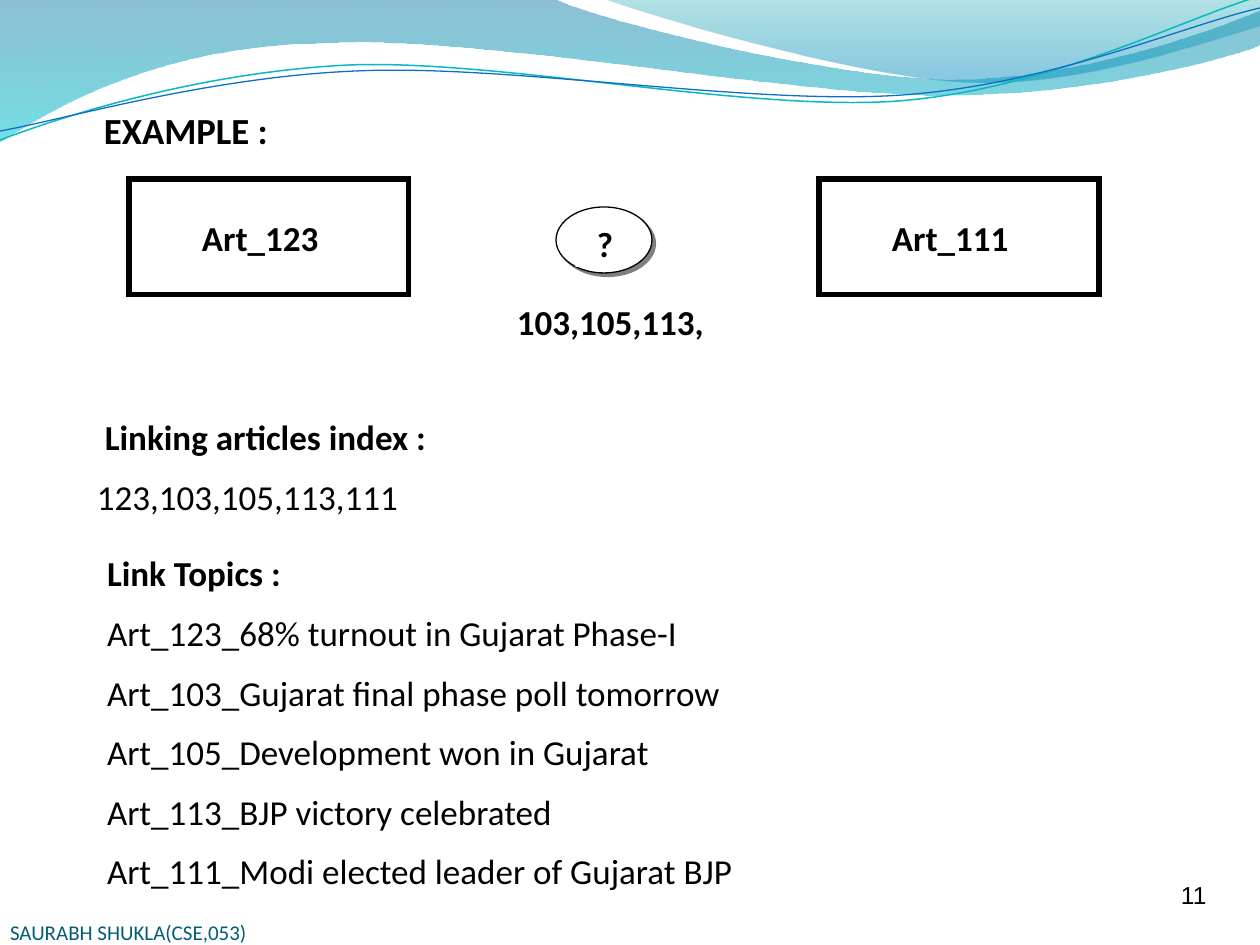
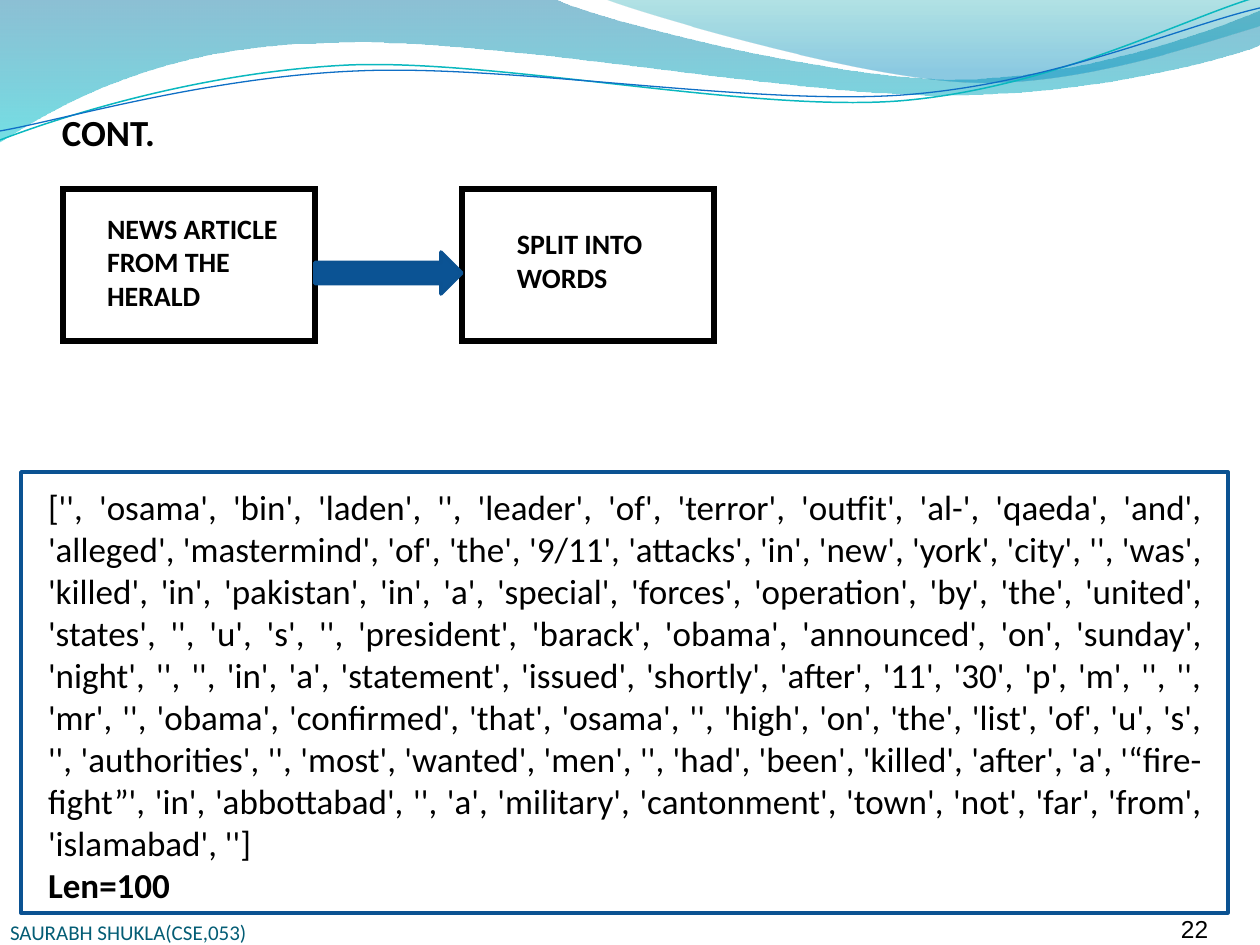
from lxml.etree import SubElement
from pptx import Presentation
from pptx.dml.color import RGBColor
from pptx.enum.shapes import MSO_SHAPE as Preset
from pptx.enum.text import MSO_ANCHOR as Anchor, MSO_AUTO_SIZE as AutoSize, PP_ALIGN as Align
from pptx.oxml.ns import qn
from pptx.util import Emu, Pt

SCALE = 914400 / 126
WIDTH, HEIGHT = 1260, 945
COLOURS = {
    "ink": "000000", "paper": "FFFFFF", "footer": "045D75",
    "arrow": "0B5394", "frame": "0B5292", "shadow": "808080",
    "band_top": "0074A1", "band_foot": "00C6CF",
    "sheen_top": "00A1A9", "sheen_foot": "008BBF",
    "teal_wave": "0AB8BF", "blue_wave": "0F6FC6",
}
BAND = [
    [(0, 0)], [(554, -1)],
    [(600, 21), (837, 79), (955, 79)], [(1075, 79), (1207, 33), (1260, 11)],
    [(1261, 45)],
    [(1239, 55), (1096, 96), (940, 95)], [(783, 95), (481, 35), (324, 43)],
    [(163, 45), (58, 105), (-1, 142)], [(0, 0)],
]
SHEEN = [
    [(604, -1)],
    [(641, 14), (859, 78), (969, 82)], [(1079, 87), (1211, 40), (1260, 26)],
    [(1260, 0)], [(604, -1)],
]
TEAL_WAVE = [
    [(0, 140)],
    [(60, 117), (199, 72), (349, 65)], [(498, 59), (747, 112), (898, 101)],
    [(1050, 89), (1182, 19), (1257, -3)],
]
BLUE_WAVE = [
    [(0, 131)],
    [(59, 121), (207, 77), (357, 71)], [(508, 64), (752, 106), (903, 95)],
    [(1053, 84), (1182, 26), (1260, 8)],
]
SPLIT_WORDS = (
    "['', 'osama', 'bin', 'laden', '', 'leader', 'of', 'terror', 'outfit', 'al-', 'qaeda', 'and', "
    "'alleged', 'mastermind', 'of', 'the', '9/11', 'attacks', 'in', 'new', 'york', 'city', '', 'was', "
    "'killed', 'in', 'pakistan', 'in', 'a', 'special', 'forces', 'operation', 'by', 'the', 'united', "
    "'states', '', 'u', 's', '', 'president', 'barack', 'obama', 'announced', 'on', 'sunday', "
    "'night', '', '', 'in', 'a', 'statement', 'issued', 'shortly', 'after', '11', '30', 'p', 'm', '', '', "
    "'mr', '', 'obama', 'confirmed', 'that', 'osama', '', 'high', 'on', 'the', 'list', 'of', 'u', 's', "
    "'', 'authorities', '', 'most', 'wanted', 'men', '', 'had', 'been', 'killed', 'after', 'a', "
    "'“fire-fight”', 'in', 'abbottabad', '', 'a', 'military', 'cantonment', 'town', 'not', 'far', 'from', "
    "'islamabad', '']"
)


def px(length):
    return Emu(round(length * SCALE))


def rgb(name):
    return RGBColor.from_string(COLOURS[name])


def add_outline(slide, segments, close):
    start, *points = [(px(x), px(y)) for segment in segments for x, y in segment]
    builder = slide.shapes.build_freeform(*start)
    builder.add_line_segments(points, close=close)
    outline = builder.convert_to_shape()
    outline.shadow.inherit = False
    steps = iter(list(outline.element.spPr.iter(qn("a:lnTo"))))
    for segment in segments[1:]:
        first, *others = [next(steps) for _ in segment]
        if others:
            first.tag = qn("a:cubicBezTo")
            curve = first.getparent()
            for step in others:
                first.append(step[0])
                curve.remove(step)
    return outline


def add_band(slide, segments, stops):
    band = add_outline(slide, segments, True)
    band.line.fill.background()
    band.fill.gradient()
    band.fill.gradient_angle = 270
    for stop, (position, colour, _) in zip(band.fill.gradient_stops, stops):
        stop.position = position
        stop.color.rgb = rgb(colour)
    tints = band.element.spPr.iter(qn("a:srgbClr"))
    for tint, (_, _, opacity) in zip(list(tints), stops):
        SubElement(tint, qn("a:alpha"), val=str(opacity * 1000))


def add_wave(slide, segments, colour, weight):
    wave = add_outline(slide, segments, False)
    wave.fill.background()
    wave.line.color.rgb = rgb(colour)
    wave.line.width = Pt(weight)


def add_box(slide, place, line="ink", weight=3.0, fill="paper", preset=Preset.RECTANGLE):
    box = slide.shapes.add_shape(preset, *map(px, place))
    box.shadow.inherit = False
    box.fill.solid()
    box.fill.fore_color.rgb = rgb(fill)
    if line:
        box.line.color.rgb = rgb(line)
        box.line.width = Pt(weight)
        if line == "ink":
            outline = box.element.spPr.find(qn("a:ln"))
            SubElement(outline, qn("a:miter"), lim="800000")
    else:
        box.line.fill.background()
    return box


def cast_shadow(shape):
    effects = shape.element.spPr.find(qn("a:effectLst"))
    shadow = SubElement(effects, qn("a:outerShdw"), dist=str(Pt(2.8)), dir="2700000")
    SubElement(shadow, qn("a:srgbClr"), val=COLOURS["shadow"])


def write(shape, lines, size=20, after=0, align=Align.LEFT, anchor=Anchor.TOP,
          insets=(13, 6), font="Calibri", colour="ink", wrap=True):
    frame = shape.text_frame
    frame.word_wrap = wrap
    frame.vertical_anchor = anchor
    frame.margin_left = frame.margin_right = px(insets[0])
    frame.margin_top = frame.margin_bottom = px(insets[1])
    for index, (text, bold) in enumerate(lines):
        paragraph = frame.add_paragraph() if index else frame.paragraphs[0]
        paragraph.text = text
        paragraph.alignment = align
        paragraph.space_after = Pt(after)
        paragraph.font.size = Pt(size)
        paragraph.font.bold = bold
        paragraph.font.name = font
        paragraph.font.color.rgb = rgb(colour)


def add_text(slide, place, lines, **style):
    text = slide.shapes.add_textbox(*map(px, place))
    write(text, lines, **style)
    return text


def add_label(slide, place, text):
    write(add_box(slide, place, "paper", 0.75), [(text, True)], after=10)


def start_slide(deck):
    slide = deck.slides.add_slide(deck.slide_layouts[6])
    add_band(slide, BAND, [(0, "band_top", 45), (1, "band_foot", 55)])
    add_band(slide, SHEEN, [(0, "sheen_top", 30), (0.8, "sheen_foot", 45)])
    add_wave(slide, TEAL_WAVE, "teal_wave", 0.85)
    add_wave(slide, BLUE_WAVE, "blue_wave", 0.75)
    return slide


def finish_slide(slide, title, title_place, number, number_top):
    add_text(slide, (10, 895, 462, 50), [("SAURABH SHUKLA(CSE,053)", False)], size=12,
             colour="footer", anchor=Anchor.BOTTOM, insets=(0, 0))
    add_text(slide, (1168, number_top, 76, 72), [(number, False)], size=14, font="Arial",
             anchor=Anchor.MIDDLE, insets=(13, 13))
    heading = add_text(slide, title_place, [(title, True)], size=21, insets=(9, 5), wrap=False)
    heading.text_frame.auto_size = AutoSize.SHAPE_TO_FIT_TEXT


def build_example(deck):
    slide = start_slide(deck)
    for left, article in ((129, "Art_123"), (819, "Art_111")):
        add_box(slide, (left, 179, 280, 116))
        add_label(slide, (left + 60, 211, 189, 77), article)
    cast_shadow(add_box(slide, (556, 207, 96, 66), weight=0.75, preset=Preset.OVAL))
    add_label(slide, (576, 217, 52, 49), " ?")
    add_text(slide, (84, 410, 640, 116),
             [(" Linking articles index :", True), ("123,103,105,113,111", False)], after=10)
    add_text(slide, (504, 295, 252, 62), [("103,105,113,", True)], after=10)
    topics = ["Art_123_68% turnout in Gujarat Phase-I",
              "Art_103_Gujarat final phase poll tomorrow",
              "Art_105_Development won in Gujarat",
              "Art_113_BJP victory celebrated",
              "Art_111_Modi elected leader of Gujarat BJP"]
    add_text(slide, (94, 546, 977, 368),
             [("Link Topics :", True)] + [(topic, False) for topic in topics],
             after=10, align=Align.JUSTIFY)
    finish_slide(slide, "EXAMPLE :", (95, 103, 185, 54), "11", 859)


def build_word_split(deck):
    slide = start_slide(deck)
    add_box(slide, (21, 472, 1207, 441), "frame", 2)
    steps = [(63, (94, 205, 231, 121), "NEWS ARTICLE FROM THE HERALD"),
             (462, (504, 221, 231, 141), "SPLIT INTO WORDS")]
    for left, place, step in steps:
        add_box(slide, (left, 189, 252, 152))
        add_text(slide, place, [(step, True)], size=16)
    add_box(slide, (315, 252, 147, 42), "frame", 2, "arrow", Preset.RIGHT_ARROW)
    words = add_box(slide, (48, 483, 1155, 425), None)
    write(words, [(SPLIT_WORDS, False), ("Len=100", True)],
          align=Align.JUSTIFY, anchor=Anchor.MIDDLE, insets=(0, 0))
    finish_slide(slide, "CONT.", (53, 105, 113, 54), "22", 893)


def main():
    deck = Presentation()
    deck.slide_width, deck.slide_height = px(WIDTH), px(HEIGHT)
    build_example(deck)
    build_word_split(deck)
    deck.save("out.pptx")


if __name__ == "__main__":
    main()
